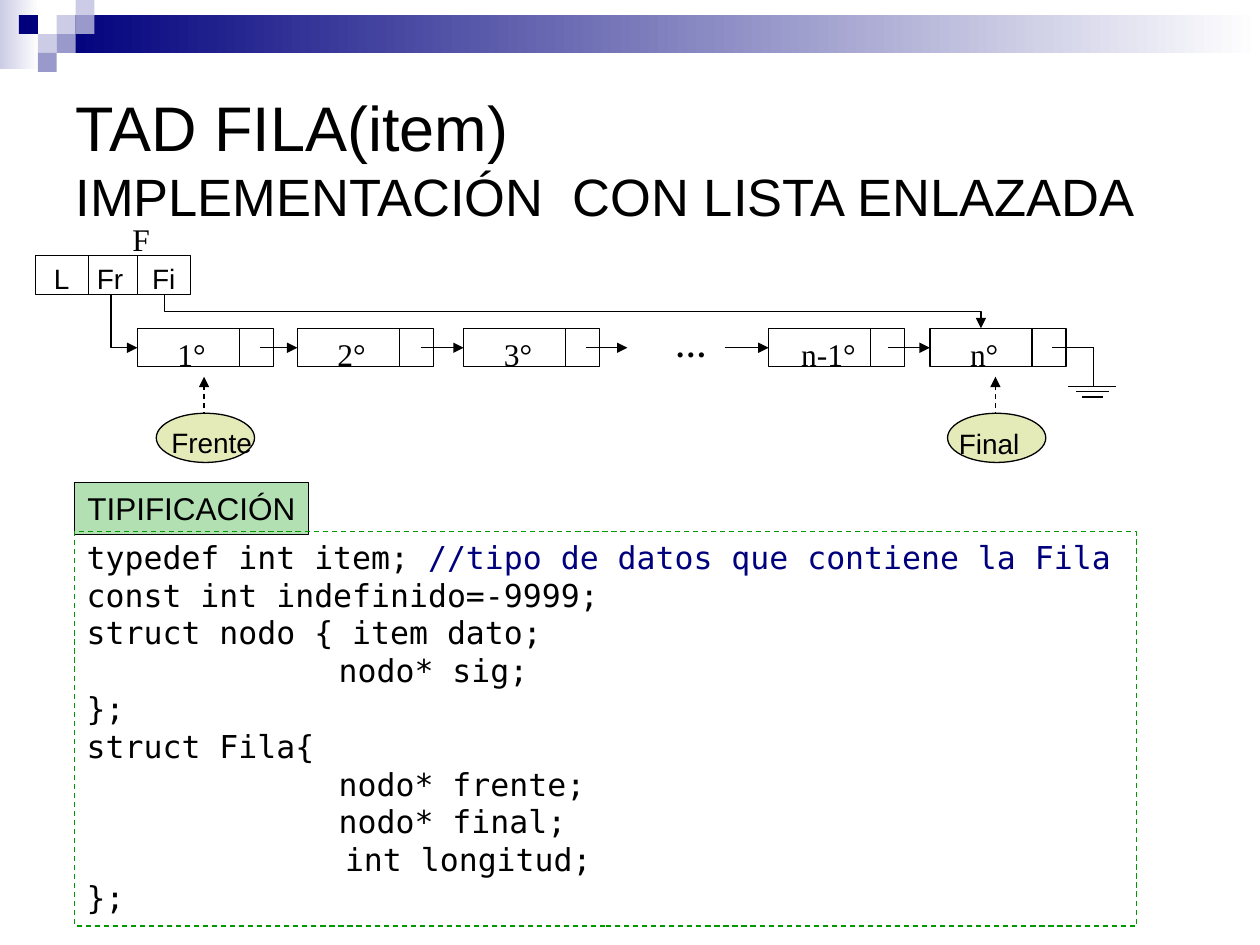
"""Build the slide on a queue implemented as a linked list."""
import pptx
import pptx.util
import pptx.dml.color
import pptx.enum.dml
import pptx.enum.shapes
import pptx.enum.text
import pptx.oxml
import pptx.oxml.ns
import lxml.etree

RGB = pptx.dml.color.RGBColor
BLACK, WHITE = RGB(0, 0, 0), RGB(255, 255, 255)
NAVY, LILAC, MAUVE = RGB(0, 0, 0x7D), RGB(0xCC, 0xCC, 0xE6), RGB(0x99, 0x99, 0xCC)
GREEN, OLIVE = RGB(0, 0x99, 0), RGB(0xE4, 0xEA, 0xB8)
SANS, SERIF, MONO = "Arial", "Times New Roman", "DejaVu Sans Mono"
RECT = pptx.enum.shapes.MSO_SHAPE.RECTANGLE
OVAL = pptx.enum.shapes.MSO_SHAPE.OVAL
STRAIGHT = pptx.enum.shapes.MSO_CONNECTOR.STRAIGHT
ELBOW = pptx.enum.shapes.MSO_CONNECTOR.ELBOW
DASH = pptx.enum.dml.MSO_LINE.DASH
LEFT, MID = pptx.enum.text.PP_ALIGN.LEFT, pptx.enum.text.PP_ALIGN.CENTER
Pt, qn = pptx.util.Pt, pptx.oxml.ns.qn

deck = pptx.Presentation()
deck.slide_width, deck.slide_height = pptx.util.Inches(10), pptx.util.Inches(7.5)
COL, ROW = deck.slide_width / 100, deck.slide_height / 75
slide = deck.slides.add_slide(deck.slide_layouts[5])
shapes = slide.shapes


def box(kind, x, y, w, h, fill=None, edge=None, text="", size=18, face=SANS, align=MID, wrap=True):
    """Add a shape, or a text box when kind is None."""
    area = [int(x * COL), int(y * ROW), int(w * COL), int(h * ROW)]
    item = shapes.add_textbox(*area) if kind is None else shapes.add_shape(kind, *area)
    if kind is not None:
        item.shadow.inherit = False
        if fill is None:
            item.fill.background()
        else:
            item.fill.solid()
            item.fill.fore_color.rgb = fill
        if edge is None:
            item.line.fill.background()
        else:
            item.line.color.rgb = edge
            item.line.width = Pt(0.75)
    frame = item.text_frame
    frame.word_wrap = wrap
    frame.vertical_anchor = pptx.enum.text.MSO_ANCHOR.TOP
    frame.text = text
    for para in frame.paragraphs:
        para.alignment = align
        para.font.size, para.font.name, para.font.color.rgb = Pt(size), face, BLACK
    return item


def wire(x1, y1, x2, y2, arrow=True, kind=STRAIGHT, dash=None, weight=0.75):
    """Add a black line, with an arrowhead at its end unless told otherwise."""
    item = shapes.add_connector(kind, int(x1 * COL), int(y1 * ROW), int(x2 * COL), int(y2 * ROW))
    item.line.color.rgb = BLACK
    item.line.width = Pt(weight)
    if dash:
        item.line.dash_style = dash
    if arrow:
        lxml.etree.SubElement(item.line._get_or_add_ln(), qn("a:tailEnd"), type="triangle")
    lxml.etree.SubElement(item._element.spPr, qn("a:effectLst"))
    return item


for x, y, w, h, tint in [(0, -0.3, 3.1, 5.8, LILAC), (4.5, 1.2, 95.5, 3, NAVY)]:
    band = box(RECT, x, y, w, h, tint)
    band.fill.gradient()
    band.fill.gradient_angle = 0
    for stop, tone in zip(band.fill.gradient_stops, (tint, WHITE)):
        stop.color.rgb = tone
for col, row, tint in [(3, 1, LILAC), (4, 0, LILAC), (4, 1, MAUVE), (2, 2, LILAC),
                       (1, 1, NAVY), (3, 2, MAUVE), (2, 3, MAUVE)]:
    box(RECT, 1.5 * col, 1.5 * row - 0.3, 1.5, 1.5, tint)

title = shapes.title
title.left, title.top = int(5 * COL), int(5 * ROW)
title.width, title.height = int(90 * COL), int(15 * ROW)
title.text_frame.auto_size = pptx.enum.text.MSO_AUTO_SIZE.NONE
title.text_frame.vertical_anchor = pptx.enum.text.MSO_ANCHOR.MIDDLE
head = title.text_frame.paragraphs[0]
head.alignment = LEFT
head.font.name, head.font.color.rgb = SANS, BLACK
top = head.add_run()
top.text, top.font.size = "TAD FILA(item)", Pt(36)
head.add_line_break()
sub = head.add_run()
sub.text, sub.font.size = "IMPLEMENTACIÓN  CON LISTA ENLAZADA", Pt(30)

for x, left, y, w, name in [(12.4, 12.6, 33.3, 8.4, "Frente"), (75.2, 75.1, 33.4, 6.8, "Final")]:
    wire(x + 3.8, 33.1, x + 3.8, 29.9, dash=DASH)
    box(OVAL, x, 32.8, 7.8, 3.9, OLIVE, BLACK)
    box(None, left, y, w, 3.7, text=name, size=16, wrap=False)

box(None, 8.8, 17, 4.8, 4.7, text="F", face=SERIF)
front = box(RECT, 6.7, 20.25, 4.2, 3.1, WHITE, BLACK)
last = box(RECT, 10.9, 20.25, 4.2, 3.1, WHITE, BLACK, "Fi", 16)
box(None, 6.7, 20.25, 4.2, 3.7, text="Fr", size=16, align=LEFT)
box(RECT, 2.8, 20.25, 4.2, 3.1, WHITE, BLACK, "L", 16)

nodes = []
for x, gap, w, name in [(10.9, 2.2, 4.8, "1°"), (23.6, 2.2, 4.8, "2°"), (36.8, 2.2, 4.8, "3°"),
                        (61, 1.6, 7, "n-1°"), (73.8, 2.2, 4.8, "n°")]:
    nodes.append(box(RECT, x, 26.1, 8.1, 3, WHITE, BLACK))
    box(RECT, x + 8.1, 26.1, 2.7, 3, WHITE, BLACK)
    box(None, x + gap, 26.1, w, 4.6, text=name, face=SERIF, align=LEFT)
dots = box(None, 52.6, 25.4, 4.8, 4.6, text="…", face=SERIF, align=LEFT)
dots.text_frame.paragraphs[0].font.bold = True

for x, node in [(20.6, 1), (33.4, 2), (46.5, None), (57.5, 3), (70.5, 4)]:
    link = wire(x, 27.6, x + 3.3, 27.6)
    if node is not None:
        link.end_connect(nodes[node], 1)

for start, goal, side, form, x, y, w, h in [
        (front, nodes[0], 1, "bentConnector2", 7.75, 24.45, 4.2, 2.1),
        (last, nodes[4], 0, "bentConnector3", 44.1, -7.7, 2.7, 64.8)]:
    bend = wire(x, y, x + w, y + h, kind=ELBOW)
    bend.begin_connect(start, 2)
    bend.end_connect(goal, side)
    bend.left, bend.top = int(x * COL), int(y * ROW)
    bend.width, bend.height = int(w * COL), int(h * ROW)
    frame = bend._element.spPr.find(qn("a:xfrm"))
    frame.attrib.pop("flipV", None)
    frame.set("rot", "16200000")
    frame.set("flipH", "1")
    bend._element.spPr.find(qn("a:prstGeom")).set("prst", form)

wire(83.5, 27.6, 86.8, 27.6, False)
wire(86.8, 27.6, 86.8, 30.6, False, weight=0.5)
for step, half in enumerate((1.9, 1.3, 0.8)):
    wire(86.7 - half, 30.7 + 0.4 * step, 86.7 + half, 30.7 + 0.4 * step, False)

tag = box(RECT, 5.9, 38.3, 18.6, 4.1, GREEN, BLACK, "TIPIFICACIÓN", wrap=False)
tint = tag._element.spPr.find(qn("a:solidFill"))[0]
lxml.etree.SubElement(tint, qn("a:alpha"), val="30000")

CODE = [("typedef int item; ", 0), ("const int indefinido=-9999;", 0),
        ("struct nodo { item dato;", 0), ("nodo* sig;", 20), ("};", 0), ("struct Fila{", 0),
        ("nodo* frente;", 20), ("nodo* final;", 20), ("int longitud;", 20.5), ("};", 0)]
code = box(RECT, 5.9, 42.2, 84.3, 31.3, None, GREEN, "\n".join(text for text, shift in CODE),
           face=MONO, align=LEFT)
code.line.dash_style = DASH
for para, (text, shift) in zip(code.text_frame.paragraphs, CODE):
    para._p.get_or_add_pPr().set("marL", str(int(shift * COL)))
note = code.text_frame.paragraphs[0].add_run()
note.text = "//tipo de datos que contiene la Fila"
note.font.color.rgb = NAVY

deck.save("out.pptx")
